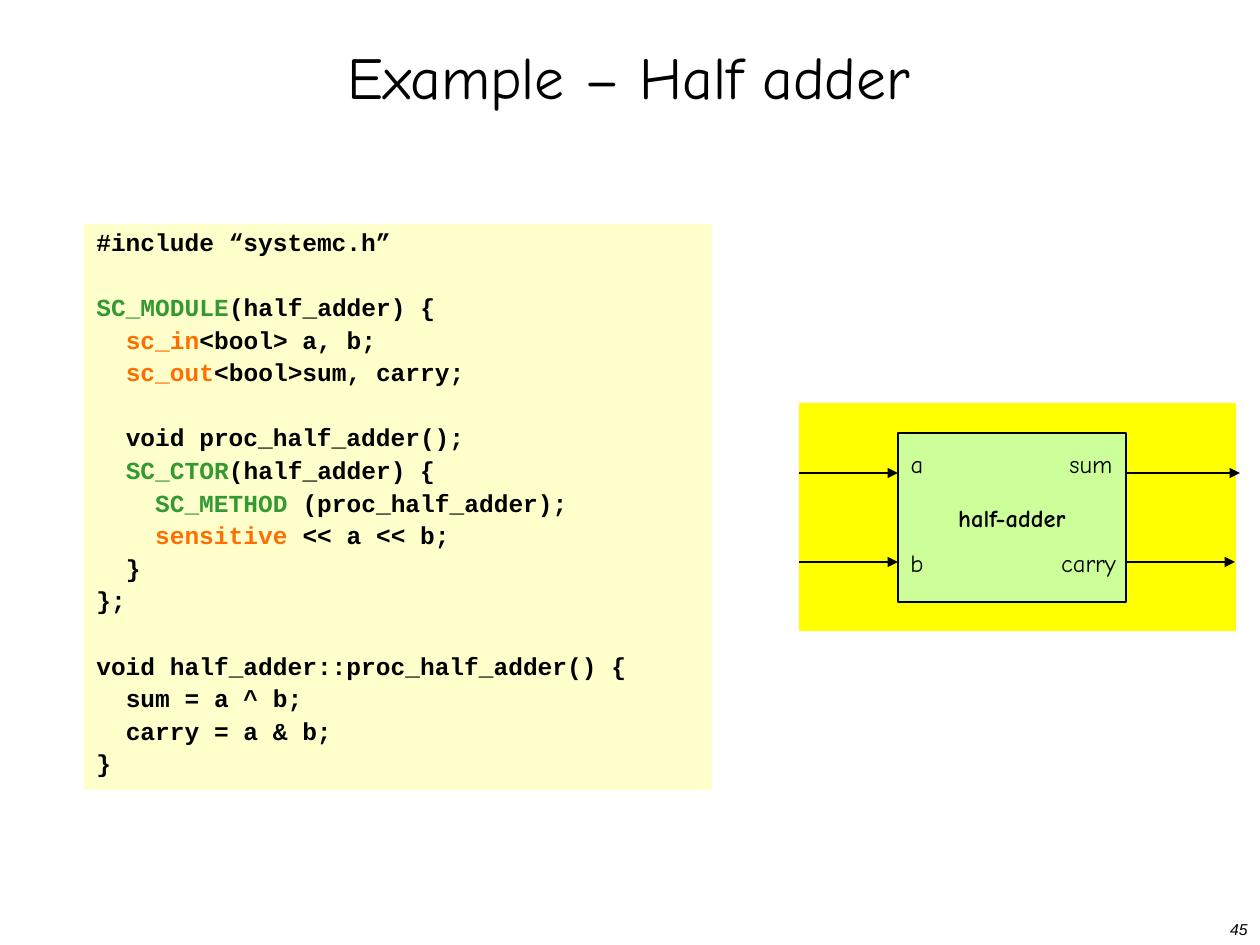
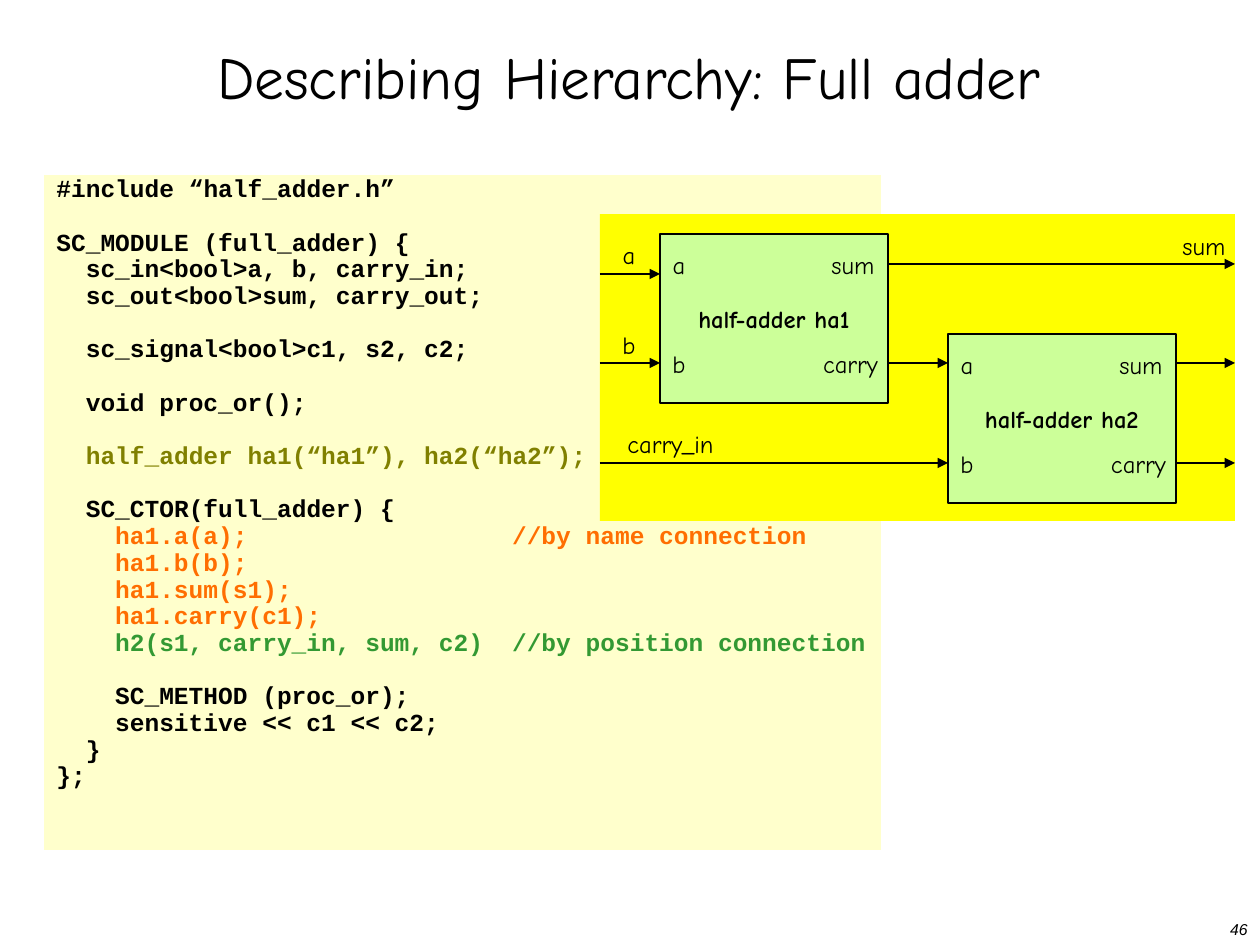
from lxml import etree
from pptx import Presentation
from pptx import util as u
from pptx.dml.color import RGBColor
from pptx.enum import shapes, text
from pptx.oxml import ns

BLACK = RGBColor(0x00, 0x00, 0x00)
GREEN = RGBColor(0x33, 0x99, 0x33)
ORANGE = RGBColor(0xFF, 0x6E, 0x01)
OLIVE = RGBColor(0x80, 0x80, 0x00)
CREAM = RGBColor(0xFF, 0xFF, 0xCC)
YELLOW = RGBColor(0xFF, 0xFF, 0x00)
LIME = RGBColor(0xCC, 0xFF, 0x99)

HAND, MONO, SANS = "Comic Neue", "Courier New", "Arial"
CODE_SIZE = 14
CHAR_WIDTH = CODE_SIZE * 0.6
LINE_HEIGHT = CODE_SIZE * 1.2
SPACE_BEFORE = 3.5
COMMENT_COLUMN = 31
FIRST_PAGE = 45

TITLE_BOX = (40, 32, 1178, 100)
NUMBER_BOX = (914, 914, 346, 31)
ADDER_SIZE = (228, 169)
LABEL_HEIGHT = 43
PORTS = [("a", 0, 10, 38), ("b", 0, 109, 38), ("sum", 159, 10, 68), ("carry", 151, 109, 79)]

BLANK = None
HALF_ADDER_CODE = [
    (0, ("#include “systemc.h”", BLACK)),
    BLANK,
    (0, ("SC_MODULE", GREEN), ("(half_adder) {", BLACK)),
    (2, ("sc_in", ORANGE), ("<bool> a, b;", BLACK)),
    (2, ("sc_out", ORANGE), ("<bool>sum, carry;", BLACK)),
    BLANK,
    (2, ("void proc_half_adder();", BLACK)),
    (2, ("SC_CTOR", GREEN), ("(half_adder) {", BLACK)),
    (4, ("SC_METHOD", GREEN), (" (proc_half_adder);", BLACK)),
    (4, ("sensitive", ORANGE), (" << a << b;", BLACK)),
    (2, ("}", BLACK)),
    (0, ("};", BLACK)),
    BLANK,
    (0, ("void half_adder::proc_half_adder() {", BLACK)),
    (2, ("sum = a ^ b;", BLACK)),
    (2, ("carry = a & b;", BLACK)),
    (0, ("}", BLACK)),
]
FULL_ADDER_CODE = [
    (0, ("#include “half_adder.h”", BLACK)),
    BLANK,
    (0, ("SC_MODULE (full_adder) {", BLACK)),
    (2, ("sc_in<bool>a, b, carry_in;", BLACK)),
    (2, ("sc_out<bool>sum, carry_out;", BLACK)),
    BLANK,
    (2, ("sc_signal<bool>c1, s2, c2;", BLACK)),
    BLANK,
    (2, ("void proc_or();", BLACK)),
    BLANK,
    (2, ("half_adder ha1(“ha1”), ha2(“ha2”);", OLIVE)),
    BLANK,
    (2, ("SC_CTOR(full_adder) {", BLACK)),
    (4, ("\tha1.a(a);\t//by name connection", ORANGE)),
    (4, ("ha1.b(b);", ORANGE)),
    (4, ("ha1.sum(s1);", ORANGE)),
    (4, ("ha1.carry(c1);", ORANGE)),
    (4, ("\th2(s1, carry_in, sum, c2)\t//by position connection", GREEN)),
    BLANK,
    (4, ("SC_METHOD (proc_or);", BLACK)),
    (4, ("sensitive << c1 << c2;", BLACK)),
    (2, ("}", BLACK)),
    (0, ("};", BLACK)),
]

SLIDES = [
    {
        "title": "Example – Half adder",
        "code": HALF_ADDER_CODE,
        "code_box": (84, 224, 628, 566),
        "spacing": 0.9,
        "panel": (799, 403, 437, 228),
        "adders": [("half-adder", 898, 433)],
        "wires": [(799, 898, 473), (799, 898, 562), (1126, 1240, 473), (1126, 1235, 562)],
        "labels": [],
    },
    {
        "title": "Describing Hierarchy: Full adder",
        "code": FULL_ADDER_CODE,
        "code_box": (44, 175, 837, 675),
        "spacing": 0.7,
        "panel": (600, 214, 635, 307),
        "adders": [("half-adder ha2", 948, 334), ("half-adder ha1", 660, 234)],
        "wires": [(600, 660, 274), (600, 660, 363), (888, 948, 363), (600, 948, 463),
                  (1176, 1235, 363), (888, 1235, 264), (1176, 1235, 463)],
        "labels": [("a", 610, 234, 38), ("b", 610, 324, 38),
                   ("carry_in", 615, 423, 111), ("sum", 1170, 225, 68)],
    },
]


def px(*lengths):
    return [u.Emu(round(length * 914400 / 126)) for length in lengths]


def add_span(para, words, size, font=HAND, color=BLACK, bold=False, italic=False):
    span = para.add_run()
    span.text = words
    span.font.size = u.Pt(size)
    span.font.name = font
    span.font.color.rgb = color
    span.font.bold = bold
    span.font.italic = italic


def add_rectangle(parent, place, fill, outlined=False):
    box = parent.add_shape(shapes.MSO_SHAPE.RECTANGLE, *px(*place))
    box.shadow.inherit = False
    box.fill.solid()
    box.fill.fore_color.rgb = fill
    if outlined:
        box.line.color.rgb = BLACK
        box.line.width = u.Pt(1)
    else:
        box.line.fill.background()
    return box


def add_title(page, words):
    title = page.shapes.title
    title.left, title.top, title.width, title.height = px(*TITLE_BOX)
    frame = title.text_frame
    frame.auto_size = text.MSO_AUTO_SIZE.NONE
    frame.vertical_anchor = text.MSO_ANCHOR.MIDDLE
    para = frame.paragraphs[0]
    para.alignment = text.PP_ALIGN.CENTER
    para.line_spacing = 0.8
    add_span(para, words, 34)


def indent_code(para, indent, tabbed):
    properties = para._p.get_or_add_pPr()
    if not tabbed:
        properties.set("marL", str(u.Pt(indent * CHAR_WIDTH)))
        properties.set("indent", "0")
        return
    stops = etree.SubElement(properties, ns.qn("a:tabLst"))
    for column in (indent, COMMENT_COLUMN):
        position = str(u.Pt(column * CHAR_WIDTH))
        etree.SubElement(stops, ns.qn("a:tab"), pos=position, algn="l")


def add_code(page, lines, place, spacing):
    frame = add_rectangle(page.shapes, place, CREAM).text_frame
    frame.word_wrap = True
    frame.vertical_anchor = text.MSO_ANCHOR.TOP
    pitch = LINE_HEIGHT * spacing + SPACE_BEFORE
    para, gap = frame.paragraphs[0], 0
    for number, line in enumerate(lines):
        if line is BLANK:
            gap += pitch
            continue
        if number:
            para = frame.add_paragraph()
        indent, *spans = line
        para.alignment = text.PP_ALIGN.LEFT
        para.line_spacing = spacing
        para.space_before = u.Pt(SPACE_BEFORE + gap)
        gap = 0
        indent_code(para, indent, any("\t" in words for words, _ in spans))
        for words, color in spans:
            add_span(para, words, CODE_SIZE, MONO, color, bold=True)


def add_label(parent, words, left, top, width):
    frame = parent.add_textbox(*px(left, top, width, LABEL_HEIGHT)).text_frame
    frame.word_wrap = False
    frame.auto_size = text.MSO_AUTO_SIZE.NONE
    frame.margin_left = frame.margin_right = 0
    para = frame.paragraphs[0]
    para.alignment = text.PP_ALIGN.CENTER
    add_span(para, words, 14)


def add_adder(page, name, left, top):
    group = page.shapes.add_group_shape().shapes
    frame = add_rectangle(group, (left, top, *ADDER_SIZE), LIME, outlined=True).text_frame
    frame.word_wrap = False
    frame.vertical_anchor = text.MSO_ANCHOR.MIDDLE
    para = frame.paragraphs[0]
    para.alignment = text.PP_ALIGN.CENTER
    add_span(para, name, 14, bold=True)
    for port, across, down, width in PORTS:
        add_label(group, port, left + across, top + down, width)


def add_wire(page, start, end, level):
    wire = page.shapes.add_connector(shapes.MSO_CONNECTOR.STRAIGHT, *px(start, level, end, level))
    wire.line.color.rgb = BLACK
    wire.line.width = u.Pt(1)
    etree.SubElement(wire.line._get_or_add_ln(), ns.qn("a:tailEnd"), type="triangle")
    etree.SubElement(wire._element.spPr, ns.qn("a:effectLst"))


def add_number(page, number):
    frame = page.shapes.add_textbox(*px(*NUMBER_BOX)).text_frame
    frame.word_wrap = True
    para = frame.paragraphs[0]
    para.alignment = text.PP_ALIGN.RIGHT
    add_span(para, str(number), 9, SANS, italic=True)


def main():
    deck = Presentation()
    deck.slide_width, deck.slide_height = px(1260, 945)
    for number, content in enumerate(SLIDES, FIRST_PAGE):
        page = deck.slides.add_slide(deck.slide_layouts[5])
        add_title(page, content["title"])
        add_code(page, content["code"], content["code_box"], content["spacing"])
        add_rectangle(page.shapes, content["panel"], YELLOW)
        for adder in content["adders"]:
            add_adder(page, *adder)
        for wire in content["wires"]:
            add_wire(page, *wire)
        for label in content["labels"]:
            add_label(page.shapes, *label)
        add_number(page, number)
    deck.save("out.pptx")


if __name__ == "__main__":
    main()
